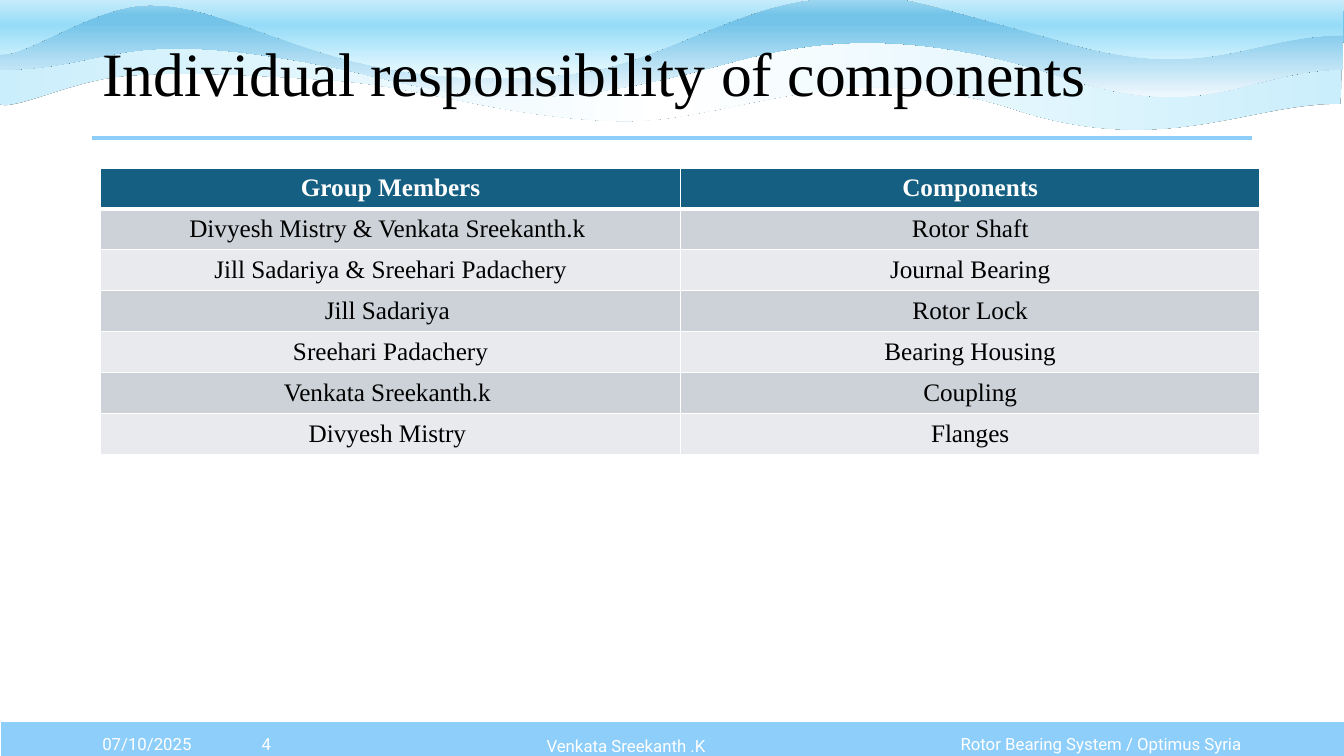
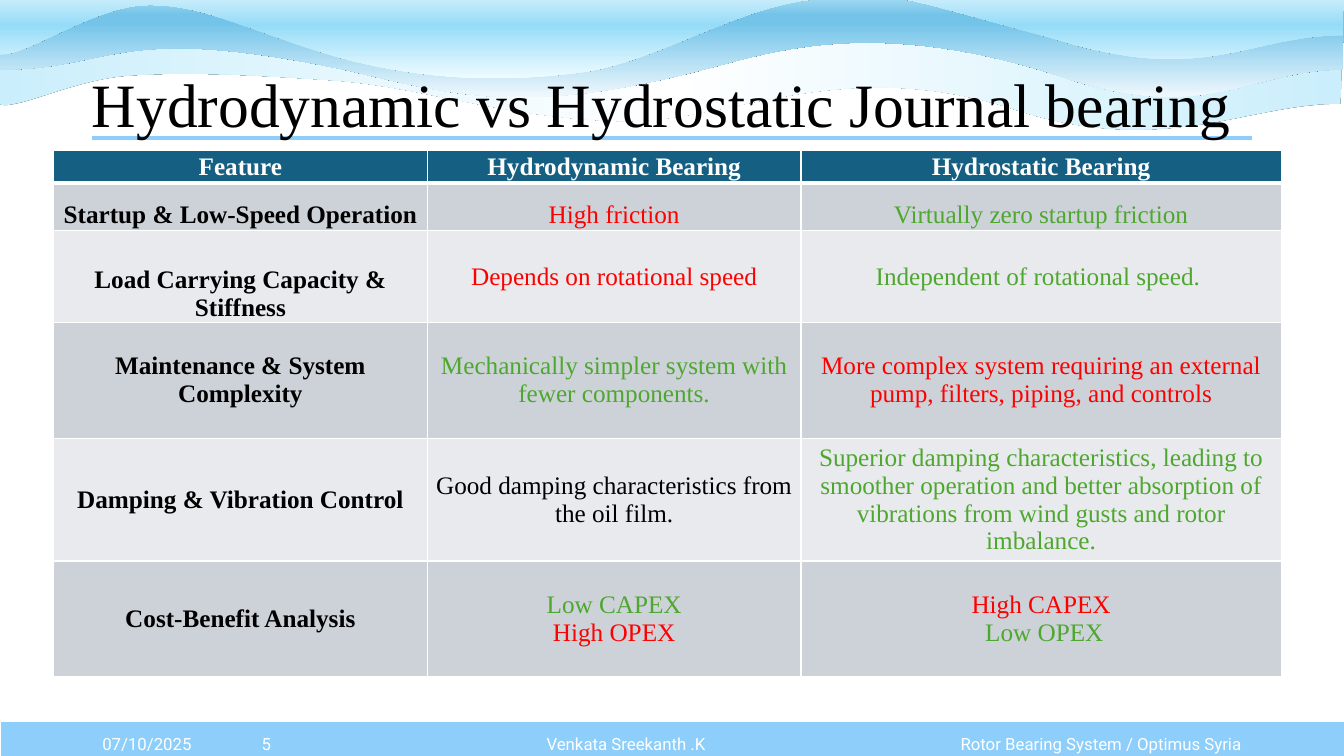
from lxml import etree
from pptx import Presentation
from pptx.dml.color import RGBColor
from pptx.enum.shapes import MSO_CONNECTOR, MSO_SHAPE
from pptx.enum.text import MSO_ANCHOR, PP_ALIGN
from pptx.oxml.ns import qn
from pptx.util import Pt

LEFT, CENTER, RIGHT = PP_ALIGN.LEFT, PP_ALIGN.CENTER, PP_ALIGN.RIGHT
MIDDLE, BOTTOM = MSO_ANCHOR.MIDDLE, MSO_ANCHOR.BOTTOM
SERIF, SANS = "Times New Roman", "Roboto"

COLORS = {
    "black": "000000",
    "white": "FFFFFF",
    "red": "FF0000",
    "green": "4EA72E",
    "accent": "8ECEFA",
    "header": "156082",
    "odd_row": "CCD2D8",
    "even_row": "E8EAED",
}

WAVES = [
    {
        "start": (957.6, 74.2),
        "curves": [
            ((890.6, 73.4), (829.4, 114.5), (719.3, 76.3)),
            ((595.4, 38.9), (519.1, 89.3), (439.2, 86.4)),
            ((359.3, 83.5), (303.1, 62.6), (241.2, 57.6)),
            ((179.3, 53.3), (131.8, 51.1), (91.4, 54)),
            ((51.1, 56.9), (10.1, 79.9), (-1.4, 74.2)),
        ],
        "top_edge": [(-2.9, 21.6), (225.4, 22.3), (469.4, 24.5), (677.5, 23), (959, 24.5)],
        "height": 70.6,
        "angle": 0,
        "stops": [(0, "CAEEFB"), (50, "FFFFFF"), (100, "CAEEFB")],
    },
    {
        "start": (959, 49.7),
        "curves": [
            ((892, 49.7), (861, 91.4), (751.7, 52.6)),
            ((627.1, 13.7), (556.6, 35.3), (508.3, 48.2)),
            ((380.2, 82.1), (330.5, 69.8), (249.1, 50.4)),
            ((81.4, 15.1), (82.8, 49.7), (0, 49.7)),
        ],
        "top_edge": [(0.7, -0.7), (225.4, 0), (470.9, -1.4), (681.1, -0.7), (959.8, 2.2)],
        "height": 70.6,
        "angle": 270,
        "stops": [(0, "A2D8F0"), (17, "74C4E9"), (26, "74C4E9"), (100, "F0F8FD")],
    },
    {
        "start": (959, 25.2),
        "curves": [
            ((892, 25.2), (861, 61.9), (751.7, 27.4)),
            ((627.8, -6.5), (641.5, -5), (585.4, -0.7)),
            ((529.2, 2.9), (470.2, 44.6), (414.7, 51.8)),
            ((358.6, 59), (305.3, 56.9), (249.8, 43.2)),
            ((185.8, 25.9), (149, 3.6), (108, 3.6)),
            ((66.2, 2.9), (15.8, 43.9), (-2.2, 38.2)),
        ],
        "top_edge": [(0.7, -19.4), (225.4, -18.7), (470.9, -20.2), (681.1, -19.4), (959.8, -17.3)],
        "height": 76.3,
        "angle": 270,
        "stops": [(0, "FFFFFF"), (50, "96DCF8"), (100, "EFFCFF")],
    },
]

DATE = "07/10/2025"
AUTHOR = "Venkata Sreekanth .K"
PROJECT = "Rotor Bearing System / Optimus Syria"
FOOTER_TOP = 517

RESPONSIBILITIES = [
    ("Group Members", "Components"),
    ("Divyesh Mistry & Venkata Sreekanth.k ", "Rotor Shaft"),
    ("Jill Sadariya & Sreehari Padachery", "Journal Bearing"),
    ("Jill Sadariya ", "Rotor Lock"),
    ("Sreehari Padachery", "Bearing Housing"),
    ("Venkata Sreekanth.k ", "Coupling"),
    ("Divyesh Mistry ", "Flanges"),
]

BEARINGS = [
    ("Feature", "Hydrodynamic Bearing", "Hydrostatic Bearing"),
    ("Startup & Low-Speed Operation", " High friction ", "Virtually zero startup friction"),
    ("Load Carrying Capacity & Stiffness", "Depends on rotational speed",
     "Independent of rotational speed. "),
    ("Maintenance & System Complexity", "Mechanically simpler system with fewer components.",
     "More complex system requiring an external pump, filters, piping, and controls"),
    ("Damping & Vibration Control", "Good damping characteristics from the oil film.",
     "Superior damping characteristics, leading to smoother operation and better "
     "absorption of vibrations from wind gusts and rotor imbalance."),
    ("Cost-Benefit Analysis", "Low CAPEX\nHigh OPEX", "High CAPEX\n Low OPEX"),
]

BEARING_TONES = {
    (1, 1): ["red"], (1, 2): ["green"],
    (2, 1): ["red"], (2, 2): ["green"],
    (3, 1): ["green"], (3, 2): ["red"],
    (4, 2): ["green"],
    (5, 1): ["green", "red"], (5, 2): ["red", "green"],
}

SLIDES = [
    {
        "number": 4,
        "title": "Individual responsibility of components",
        "title_box": (66, 2.5, 828, 104),
        "author_top": FOOTER_TOP + 1.5,
        "rows": RESPONSIBILITIES,
        "origin": (72, 120),
        "widths": [414, 414],
        "heights": [29.2] * 7,
        "margins": (7.2, 3.6),
        "tones": {},
        "bold_first": False,
        "bottom_cells": [],
    },
    {
        "number": 5,
        "title": "Hydrodynamic vs Hydrostatic Journal bearing",
        "title_box": (58.5, 24.5, 877, 104),
        "author_top": FOOTER_TOP - 0.5,
        "rows": BEARINGS,
        "origin": (38.2, 107.5),
        "widths": [267, 267, 343],
        "heights": [18, 34, 66, 82.5, 66, 82.5],
        "margins": (2, 0.7),
        "tones": BEARING_TONES,
        "bold_first": True,
        "bottom_cells": [(1, 0), (1, 1), (1, 2), (2, 0)],
    },
]


def rgb(name):
    return RGBColor.from_string(COLORS[name])


def style(paragraph, font_name, size, color, align, bold=False):
    paragraph.alignment = align
    for run in paragraph.runs:
        run.font.name = font_name
        run.font.size = Pt(size)
        run.font.bold = bold
        run.font.color.rgb = rgb(color)


def add_label(slide, box, text, font_name, size, color, align):
    frame = slide.shapes.add_textbox(*map(Pt, box)).text_frame
    frame.word_wrap = True
    frame.vertical_anchor = MIDDLE
    frame.text = text
    style(frame.paragraphs[0], font_name, size, color, align)
    return frame.paragraphs[0]


def bend(shape, curves):
    outline = next(shape.element.iter(qn("a:path")))
    for segment, curve in zip(list(outline.iter(qn("a:lnTo"))), curves):
        bezier = etree.Element(qn("a:cubicBezTo"))
        for x, y in curve:
            etree.SubElement(bezier, qn("a:pt"), x=str(Pt(x) - shape.left), y=str(Pt(y) - shape.top))
        outline.replace(segment, bezier)
    return outline


def add_wave(slide, wave):
    knots = [curve[-1] for curve in wave["curves"]] + wave["top_edge"]
    builder = slide.shapes.build_freeform(*map(Pt, wave["start"]))
    builder.add_line_segments([(Pt(x), Pt(y)) for x, y in knots], close=True)
    shape = builder.convert_to_shape()
    outline = bend(shape, wave["curves"])
    shape.height = Pt(wave["height"])
    outline.set("h", str(shape.height))

    shape.line.fill.background()
    shape.fill.gradient()
    shape.fill.gradient_angle = wave["angle"]
    stops = shape.element.spPr.find(qn("a:gradFill")).find(qn("a:gsLst"))
    for old in list(stops):
        stops.remove(old)
    for position, color in wave["stops"]:
        stop = etree.SubElement(stops, qn("a:gs"), pos=str(position * 1000))
        etree.SubElement(stop, qn("a:srgbClr"), val=color)

    shape.shadow.inherit = False
    effects = shape.element.spPr.find(qn("a:effectLst"))
    shadow = etree.SubElement(effects, qn("a:outerShdw"), blurRad="0", dist="0", dir="0")
    etree.SubElement(shadow, qn("a:srgbClr"), val=COLORS["black"])


def add_frame(slide, content):
    band = slide.shapes.add_shape(MSO_SHAPE.RECTANGLE, Pt(0), Pt(515), Pt(961), Pt(29))
    band.shadow.inherit = False
    band.fill.solid()
    band.fill.fore_color.rgb = rgb("accent")
    band.line.color.rgb = rgb("white")
    band.line.width = Pt(1.5)

    for wave in WAVES:
        add_wave(slide, wave)

    rule = slide.shapes.add_connector(MSO_CONNECTOR.STRAIGHT, Pt(66), Pt(98.5), Pt(894), Pt(98.5))
    rule.line.color.rgb = rgb("accent")
    rule.line.width = Pt(3)
    etree.SubElement(rule.element.spPr, qn("a:effectLst"))

    title = add_label(slide, content["title_box"], content["title"], SERIF, 44, "black", LEFT)
    title.line_spacing = 0.9

    footers = [
        (DATE, 66, FOOTER_TOP, 88, LEFT),
        (str(content["number"]), 153.5, FOOTER_TOP, 73.5, CENTER),
        (AUTHOR, 227, content["author_top"], 440.5, CENTER),
        (PROJECT, 667.5, FOOTER_TOP, 226.5, RIGHT),
    ]
    for text, left, top, width, align in footers:
        add_label(slide, (left, top, width, 29), text, SANS, 12, "white", align)


def add_borders(cell, top, bottom):
    properties = cell._tc.get_or_add_tcPr()
    edges = [("a:lnL", 1), ("a:lnR", 1), ("a:lnT", top), ("a:lnB", bottom)]
    for index, (tag, width) in enumerate(edges):
        border = etree.Element(qn(tag), w=str(Pt(width)))
        fill = etree.SubElement(border, qn("a:solidFill"))
        etree.SubElement(fill, qn("a:srgbClr"), val=COLORS["white"])
        properties.insert(index, border)


def add_content_table(slide, content):
    rows, widths, heights = content["rows"], content["widths"], content["heights"]
    box = (*content["origin"], sum(widths), sum(heights))
    table = slide.shapes.add_table(len(rows), len(widths), *map(Pt, box)).table
    for column, width in zip(table.columns, widths):
        column.width = Pt(width)
    for row, height in zip(table.rows, heights):
        row.height = Pt(height)

    side, edge = map(Pt, content["margins"])
    for r, texts in enumerate(rows):
        header = r == 0
        fill = "header" if header else "odd_row" if r % 2 else "even_row"
        for c, text in enumerate(texts):
            cell = table.cell(r, c)
            cell.fill.solid()
            cell.fill.fore_color.rgb = rgb(fill)
            add_borders(cell, 3 if r == 1 else 1, 3 if header else 1)
            cell.margin_left = cell.margin_right = side
            cell.margin_top = cell.margin_bottom = edge
            cell.vertical_anchor = BOTTOM if (r, c) in content["bottom_cells"] else MIDDLE
            cell.text_frame.text = text
            paragraphs = cell.text_frame.paragraphs
            default = ["white" if header else "black"] * len(paragraphs)
            bold = header or (content["bold_first"] and c == 0)
            for paragraph, tone in zip(paragraphs, content["tones"].get((r, c), default)):
                style(paragraph, SERIF, 18, tone, CENTER, bold)


def main():
    deck = Presentation()
    deck.slide_width, deck.slide_height = Pt(960), Pt(540)
    for content in SLIDES:
        slide = deck.slides.add_slide(deck.slide_layouts[6])
        add_frame(slide, content)
        add_content_table(slide, content)
    deck.save("out.pptx")


if __name__ == "__main__":
    main()
